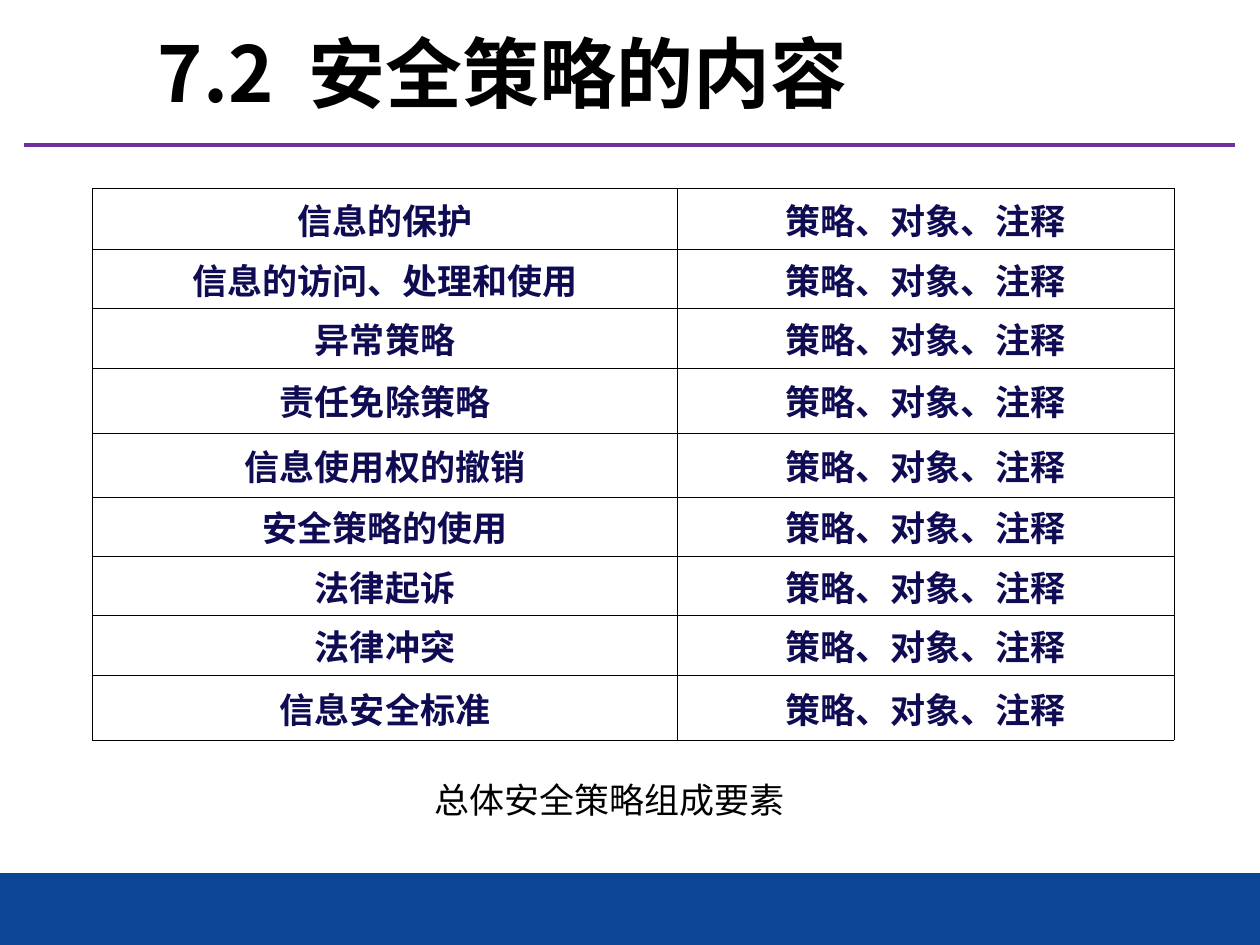
from lxml import etree
from pptx import Presentation
from pptx.dml.color import RGBColor
from pptx.enum.shapes import MSO_CONNECTOR, MSO_SHAPE
from pptx.enum.text import MSO_ANCHOR, PP_ALIGN
from pptx.oxml.ns import qn
from pptx.util import Pt

STRAIGHT = MSO_CONNECTOR.STRAIGHT
RECTANGLE = MSO_SHAPE.RECTANGLE
MIDDLE = MSO_ANCHOR.MIDDLE
CENTER = PP_ALIGN.CENTER

BLACK = RGBColor(0x00, 0x00, 0x00)
WHITE = RGBColor(0xFF, 0xFF, 0xFF)
PURPLE = RGBColor(0x70, 0x30, 0xA0)
BLUE = RGBColor(0x0D, 0x46, 0x97)
NAVY = RGBColor(0x0F, 0x0C, 0x54)
SANS = "Noto Sans CJK SC"
SERIF = "Times New Roman"


def write(p, text, size=20, font=SANS, color=BLACK, bold=False, spacing=0):
    r = p.add_run()
    r.text = text
    r.font.size = Pt(size)
    r.font.name = font
    r.font.bold = bold
    r.font.color.rgb = color
    rPr = r._r.get_or_add_rPr()
    etree.SubElement(rPr, qn("a:ea")).set("typeface", SANS)
    if spacing:
        rPr.set("spc", str(spacing * 100))


def set_borders(cell, color, width):
    tcPr = cell._tc.get_or_add_tcPr()
    for i, side in enumerate(("lnL", "lnR", "lnT", "lnB")):
        ln = etree.Element(qn(f"a:{side}"), w=str(Pt(width)))
        fill = etree.SubElement(ln, qn("a:solidFill"))
        etree.SubElement(fill, qn("a:srgbClr")).set("val", str(color))
        tcPr.insert(i, ln)


prs = Presentation()
prs.slide_width, prs.slide_height = Pt(720), Pt(540)
s = prs.slides.add_slide(prs.slide_layouts[6])

rule = s.shapes.add_connector(STRAIGHT, Pt(14), Pt(82.8), Pt(706), Pt(82.8))
rule.line.color.rgb = PURPLE
rule.line.width = Pt(2.25)
etree.SubElement(rule._element.spPr, qn("a:effectLst"))

footer = s.shapes.add_shape(RECTANGLE, Pt(0), Pt(499), Pt(720), Pt(41))
footer.shadow.inherit = False
footer.fill.solid()
footer.fill.fore_color.rgb = BLUE
footer.line.fill.background()

caption = s.shapes.add_textbox(Pt(241), Pt(440), Pt(238.5), Pt(34))
title = s.shapes.add_textbox(Pt(83), Pt(5), Pt(629), Pt(72))
for sp in (caption, title):
    sp.text_frame.word_wrap = True
    sp.text_frame.vertical_anchor = MIDDLE

write(caption.text_frame.paragraphs[0], "总体安全策略组成要素")
for text, spacing in (("7.2", 0), (" ", 10), ("安全策略的内容", 0)):
    write(title.text_frame.paragraphs[0], text, size=44, bold=True, spacing=spacing)

ELEMENTS = [
    ("信息的保护", 35),
    ("信息的访问、处理和使用", 34),
    ("异常策略", 34),
    ("责任免除策略", 37),
    ("信息使用权的撤销", 36.5),
    ("安全策略的使用", 34),
    ("法律起诉", 34),
    ("法律冲突", 34),
    ("信息安全标准", 37),
]
COLUMN_WIDTHS = (334.5, 283.5)

table = s.shapes.add_table(
    len(ELEMENTS), 2, Pt(52.8), Pt(107.5),
    Pt(sum(COLUMN_WIDTHS)), Pt(sum(height for _, height in ELEMENTS)),
).table
table.first_row = False
table.horz_banding = False
for column, width in zip(table.columns, COLUMN_WIDTHS):
    column.width = Pt(width)

for row, (element, height) in zip(table.rows, ELEMENTS):
    row.height = Pt(height)
    for cell, text in zip(row.cells, (element, "策略、对象、注释")):
        cell.fill.solid()
        cell.fill.fore_color.rgb = WHITE
        cell.vertical_anchor = MIDDLE
        cell.margin_top = cell.margin_bottom = Pt(2)
        set_borders(cell, BLACK, 0.45)
        p = cell.text_frame.paragraphs[0]
        p.alignment = CENTER
        write(p, text, font=SERIF, color=NAVY, bold=True)

prs.save("out.pptx")
